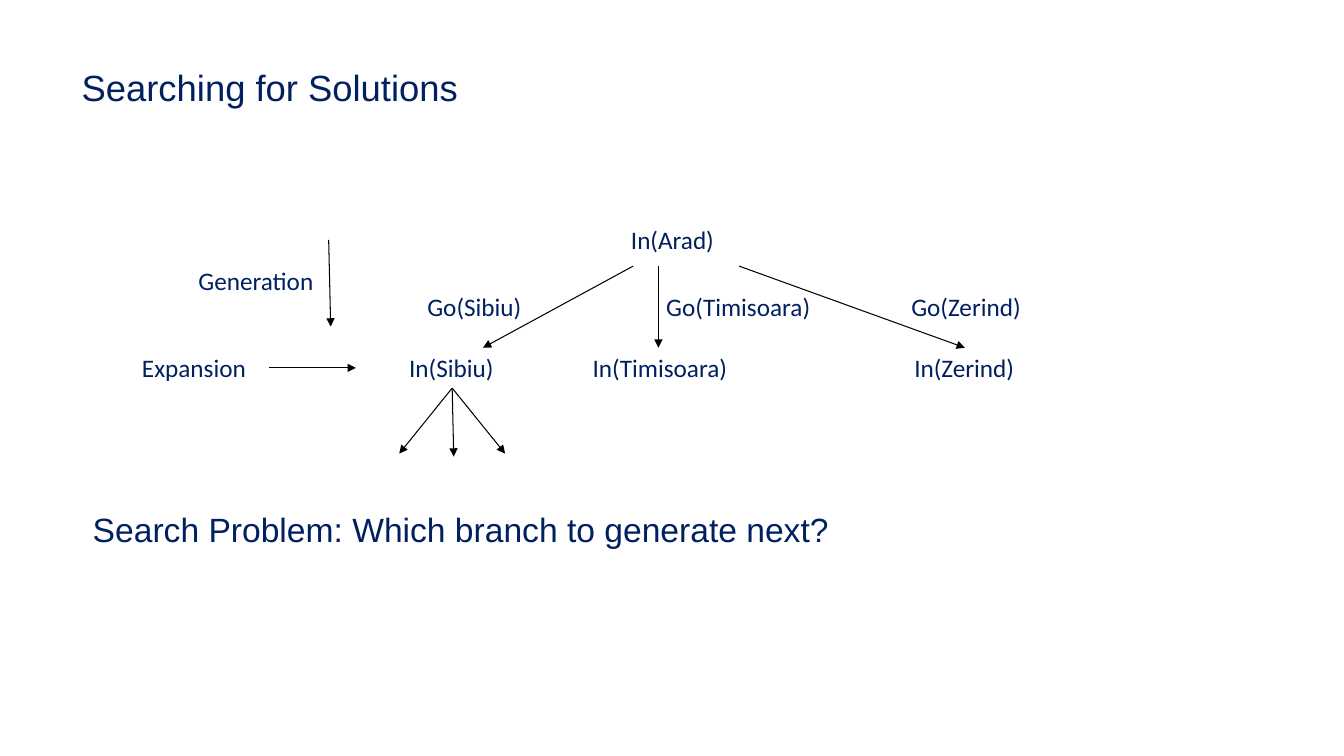
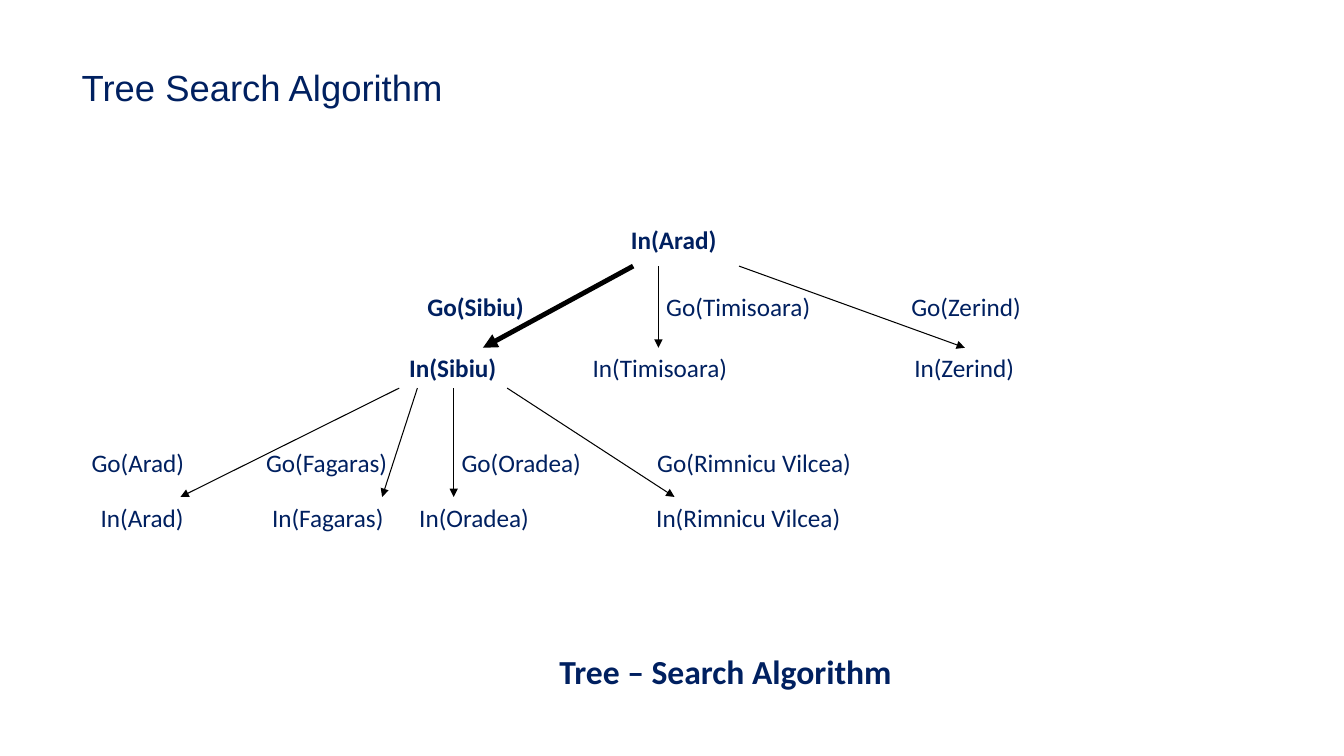
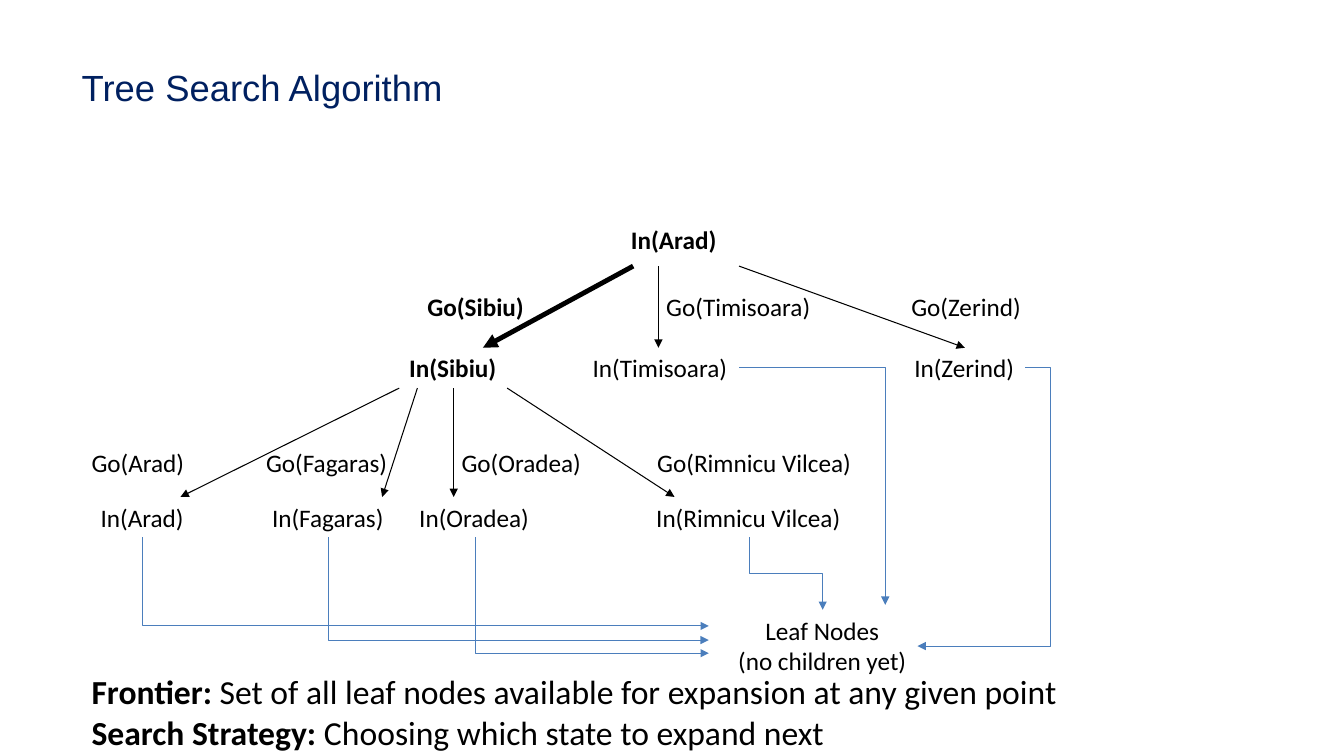
from lxml import etree
from pptx import Presentation
from pptx.dml.color import RGBColor
from pptx.enum.shapes import MSO_CONNECTOR
from pptx.enum.text import MSO_ANCHOR, MSO_AUTO_SIZE, PP_ALIGN
from pptx.oxml.ns import qn
from pptx.util import Pt

PX = 9144
STRAIGHT, ELBOW = MSO_CONNECTOR.STRAIGHT, MSO_CONNECTOR.ELBOW
LEFT, CENTER = PP_ALIGN.LEFT, PP_ALIGN.CENTER
TOP_SIDE, BOTTOM_SIDE = 0, 2
COLORS = {"navy": "002060", "black": "000000", "blue": "4B7EBC"}
HEAD, BODY = "Arial", "Calibri"
ROOT_Y, GO_Y, CITY_Y, GO2_Y, LEAF_Y = 218, 284, 345, 439, 493
ROW = 40

ROUTES = [
    ("Sibiu", 396, 105, 414, 115, (628, 264, 479, CITY_Y)),
    ("Timisoara", 578, 155, 651, 164, (653, 264, 653, CITY_Y)),
    ("Zerind", 897, 120, 894, 130, (733, 264, 957, CITY_Y)),
]
LEAVES = [
    ("Arad", 90, 103, 81, 113, (396, 385, 179, LEAF_Y)),
    ("Fagaras", 260, 132, 254, 142, (414, 385, 379, LEAF_Y)),
    ("Oradea", 406, 130, 448, 140, (450, 385, 450, LEAF_Y)),
    ("Rimnicu Vilcea", 641, 205, 642, 215, (503, 385, 669, LEAF_Y)),
]


def px(*nums):
    return [round(n * PX) for n in nums]


def paint(font, size, color, face=BODY, bold=False):
    font.size = Pt(size)
    font.name = face
    font.bold = bold
    font.color.rgb = RGBColor.from_string(COLORS[color])


def label(slide, text, spot, color="navy", size=18, bold=False, align=LEFT):
    box = slide.shapes.add_textbox(*px(*spot))
    frame = box.text_frame
    frame.text = text
    frame.word_wrap = False
    frame.auto_size = MSO_AUTO_SIZE.SHAPE_TO_FIT_TEXT
    for para in frame.paragraphs:
        para.alignment = align
        for run in para.runs:
            paint(run.font, size, color, bold=bold)
    return box


def bare(frame, size):
    frame.margin_left = frame.margin_right = 0
    frame.margin_top = frame.margin_bottom = 0
    frame.word_wrap = True
    frame.vertical_anchor = MSO_ANCHOR.TOP
    frame.auto_size = MSO_AUTO_SIZE.NONE
    para = frame.paragraphs[0]
    para.alignment = LEFT
    paint(para.runs[0].font, size, "navy", HEAD)


def start(deck, text):
    slide = deck.slides.add_slide(deck.slide_layouts[5])
    title = slide.shapes.title
    title.left, title.top, title.width, title.height = px(81, 65, 1172, 68)
    title.text_frame.text = text
    bare(title.text_frame, 26)
    return slide


def arrow(slide, ends, color="black", width=0.75, kind=STRAIGHT):
    link = slide.shapes.add_connector(kind, *px(*ends))
    link.line.color.rgb = RGBColor.from_string(COLORS[color])
    link.line.width = Pt(width)
    tail = etree.SubElement(link.line._get_or_add_ln(), qn("a:tailEnd"))
    tail.set("type", "triangle")
    etree.SubElement(link._element.spPr, qn("a:effectLst"))
    return link


def elbow(slide, ends, preset="bentConnector2", down=False, adjust=None):
    if down:
        x1, y1, x2, y2 = ends
        midx, midy = (x1 + x2) / 2, (y1 + y2) / 2
        halfw, halfh = (y2 - y1) / 2, (x2 - x1) / 2
        ends = midx + halfw, midy - halfh, midx - halfw, midy + halfh
    link = arrow(slide, ends, "blue", kind=ELBOW)
    props = link._element.spPr
    if down:
        props.find(qn("a:xfrm")).set("rot", str(270 * 60000))
    geom = props.find(qn("a:prstGeom"))
    geom.set("prst", preset)
    if adjust is not None:
        guides = geom.find(qn("a:avLst"))
        if guides is None:
            guides = etree.SubElement(geom, qn("a:avLst"))
        guide = etree.SubElement(guides, qn("a:gd"))
        guide.set("name", "adj1")
        guide.set("fmla", f"val {round(adjust * 100000)}")


def branch(slide, route, go_y, city_y, color, bold=False):
    city, x, wide, go_x, go_w, ends = route
    extra = 2 if bold else 0
    box = label(slide, f"In({city})", (x, city_y, wide + extra, ROW), color, bold=bold)
    label(slide, f"Go({city})", (go_x, go_y, go_w + extra, ROW), color, bold=bold)
    link = arrow(slide, ends, width=3.5 if bold else 0.75)
    if abs(x + wide / 2 - ends[2]) < 1:
        link.end_connect(box, TOP_SIDE)
    return box


def tree(slide, color="navy", chosen=None):
    boxes = {}
    for route in ROUTES:
        city = route[0]
        boxes[city] = branch(slide, route, GO_Y, CITY_Y, color, city == chosen)
    bold = chosen is not None
    label(slide, "In(Arad)", (616, ROOT_Y, 106 if bold else 103, ROW), color, bold=bold)
    if bold:
        for leaf in LEAVES:
            branch(slide, leaf, GO2_Y, LEAF_Y, color)
    return boxes


def solve(deck):
    slide = start(deck, "Searching for Solutions")
    boxes = tree(slide)
    arrow(slide, (326, 238, 328, 324))
    label(slide, "Generation", (187, 258, 136, ROW))
    arrow(slide, (267, 365, 353, 365))
    label(slide, "Expansion", (131, CITY_Y, 124, ROW))
    box = slide.shapes.add_textbox(*px(92, 505, 1150, 101))
    box.text_frame.text = "Search Problem: Which branch to generate next?"
    bare(box.text_frame, 24)
    for x, y in ((396, 450), (450, 453), (501, 450)):
        link = arrow(slide, (449, 385, x, y))
        link.begin_connect(boxes["Sibiu"], BOTTOM_SIDE)


def expand(deck):
    slide = start(deck, "Tree Search Algorithm")
    tree(slide, chosen="Sibiu")
    label(slide, "Tree – Search Algorithm", (545, 641, 353, 50), size=24, bold=True)


def border(deck):
    slide = start(deck, "Tree Search Algorithm")
    tree(slide, "black", "Sibiu")
    label(slide, "Leaf Nodes\n(no children yet)", (721, 605, 189, 71), "black", align=CENTER)
    elbow(slide, (733, 365, 878, 600))
    elbow(slide, (1017, 365, 910, 641), "bentConnector3", adjust=-25 / 107)
    elbow(slide, (743, 533, 816, 605), "bentConnector3", down=True)
    for x, y in ((472, 648), (326, 635), (141, 621)):
        elbow(slide, (x, 533, 703, y), down=True)
    terms = [
        ("Frontier: ", "Set of all leaf nodes available for expansion at any given point"),
        ("Search Strategy: ", "Choosing which state to expand next"),
    ]
    names = "\n".join(name for name, _ in terms)
    box = label(slide, names, (81, 661, 1004, 91), "black", 24, True)
    for para, (_, sense) in zip(box.text_frame.paragraphs, terms):
        run = para.add_run()
        run.text = sense
        paint(run.font, 24, "black")


def main():
    deck = Presentation()
    deck.slide_width, deck.slide_height = px(1333, 750)
    solve(deck)
    expand(deck)
    border(deck)
    deck.save("out.pptx")


if __name__ == "__main__":
    main()
